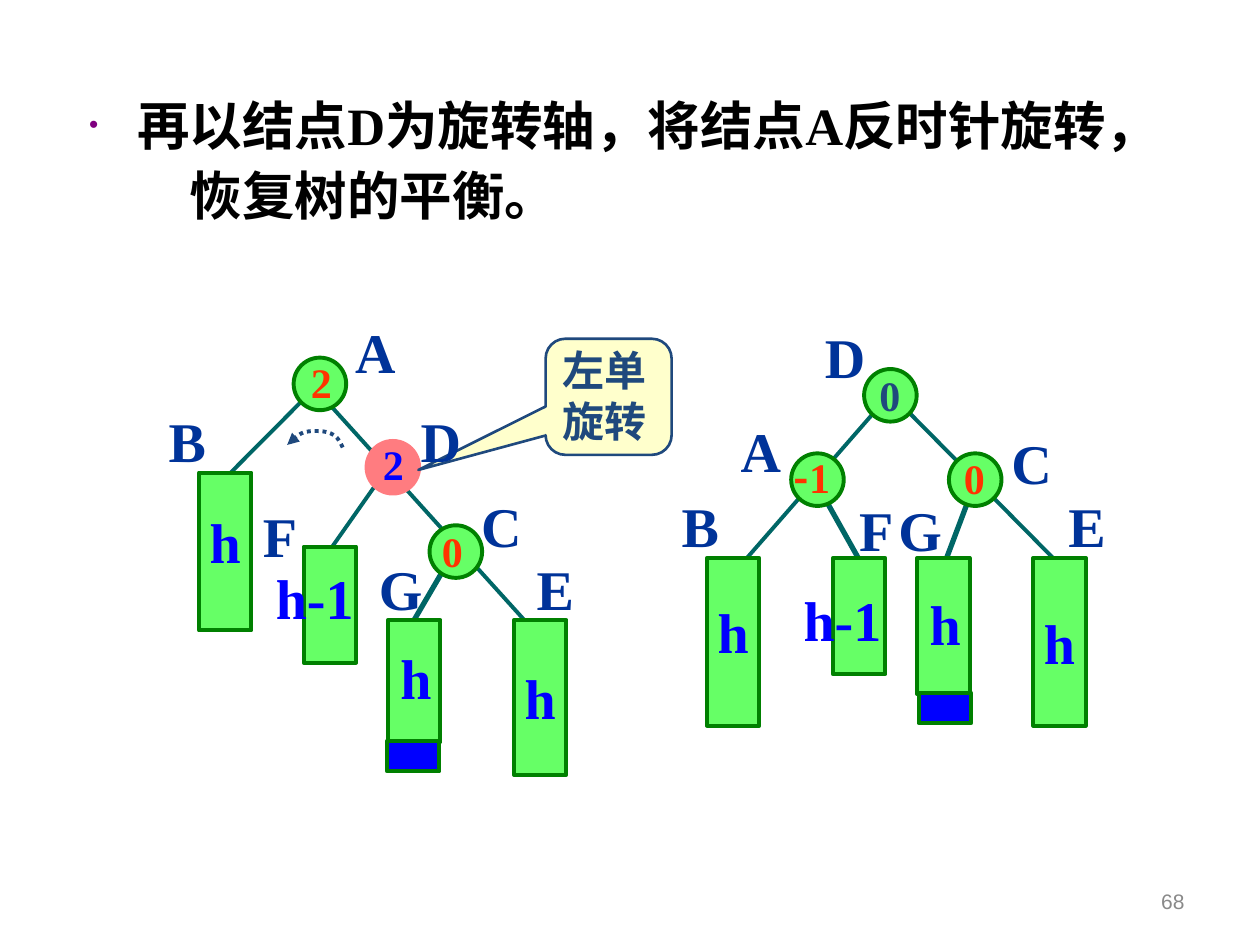
import pptx
import pptx.util
import pptx.dml.color
import pptx.enum.dml
import pptx.enum.shapes
import pptx.enum.text
import pptx.oxml
import pptx.oxml.ns

Cm, Pt = pptx.util.Cm, pptx.util.Pt
SHAPE = pptx.enum.shapes.MSO_SHAPE
ALIGN = pptx.enum.text.PP_ALIGN
ANCHOR = pptx.enum.text.MSO_ANCHOR

LATIN, CHINESE = "Times New Roman", "Noto Sans CJK SC"
GREEN, BORDER, EDGE = "66FF66", "008000", "006666"
BLUE, RED, NAVY, PINK, LETTER = "0000FF", "FF3300", "1F497D", "FF7C80", "003399"

# Content, lengths in cm
TITLE = "再以结点D为旋转轴，将结点A反时针旋转，　恢复树的平衡。"
CALLOUT = ["左单", "旋转"]
NODE, INSERTED_HEIGHT = 1.06, 0.61

BEFORE = {
    # x1, y1, x2, y2, line width
    "edges": [(9.09, 11.23, 8.23, 12.7, 3), (6.12, 8.05, 4.22, 9.96, 2.25),
              (6.55, 8.05, 10.57, 12.5, 2.25), (7.59, 9.75, 6.55, 11.23, 2.25)],
    # x, y, fill, border
    "nodes": [(7.39, 8.89, PINK, PINK), (5.92, 7.21, GREEN, BORDER),
              (8.66, 10.59, GREEN, BORDER)],
    # x, y, height, text, line spacing
    "subtrees": [(4.01, 9.53, 3.18, "h", 0.6), (6.12, 11.02, 2.34, "", 1),
                 (7.82, 12.5, 2.46, "", 1), (10.36, 12.5, 3.12, "h", 1)],
    "inserted": (7.8, 14.94),
    "letters": [("A", 6.91, 6.27), ("C", 9.45, 9.78), ("E", 10.57, 11.05),
                ("B", 3.15, 8.08), ("F", 5.05, 9.98), ("G", 7.39, 11.05),
                ("D", 8.23, 8.08)],
    "heights": [("h-1", 5.31, 11.23), ("h", 7.82, 12.85)],
    "balances": [("0", 8.66, 10.46, RED), ("2", 6.02, 7.06, RED),
                 ("2", 7.47, 8.71, BLUE)],
}
AFTER = {
    "edges": [(19.56, 9.98, 18.92, 11.68, 3), (18.29, 8.28, 21.23, 11.25, 2.25),
              (17.65, 8.28, 14.68, 11.68, 2.25), (16.59, 9.98, 17.42, 11.46, 3)],
    "nodes": [(15.95, 9.14, GREEN, BORDER), (17.42, 7.44, GREEN, BORDER),
              (19.13, 9.14, GREEN, BORDER)],
    "subtrees": [(14.25, 11.25, 3.38, "h", 0.6), (16.79, 11.25, 2.34, "", 1),
                 (18.49, 11.25, 2.74, "", 1), (20.83, 11.25, 3.38, "h", 1)],
    "inserted": (18.52, 13.97),
    "letters": [("A", 14.68, 8.28), ("C", 20.14, 8.51), ("E", 21.29, 9.78),
                ("D", 16.38, 6.38), ("B", 13.49, 9.78), ("F", 17.07, 9.86),
                ("G", 17.86, 9.86)],
    "heights": [("h-1", 15.95, 11.68), ("h", 18.49, 11.76)],
    "balances": [("0", 19.18, 8.99, RED), ("0", 17.48, 7.32, NAVY),
                 ("-1", 15.75, 8.97, RED)],
}
TEXT_WIDTH = {"A": 1.32, "B": 1.24, "C": 1.32, "D": 1.32, "E": 1.24, "F": 1.19,
              "G": 1.37, "h": 1.14, "h-1": 2.08, "0": 0.91, "2": 0.91, "-1": 1.42}

# Rotation arrow: start point, then two controls and an end for each curve
ARROW_START = (6.91, 9.02)
ARROW_CURVES = [((6.86, 8.92), (6.81, 8.81), (6.71, 8.76)),
                ((6.63, 8.71), (6.5, 8.69), (6.4, 8.69)),
                ((6.3, 8.69), (6.17, 8.69), (6.07, 8.74)),
                ((5.97, 8.79), (5.84, 8.94), (5.79, 8.97))]


def colour(value):
    return pptx.dml.color.RGBColor.from_string(value)


def add_xml(parent, tag, **values):
    child = pptx.oxml.parse_xml(f"<a:{tag} {pptx.oxml.ns.nsdecls('a')}/>")
    for name, value in values.items():
        child.set(name, value)
    parent.append(child)
    return child


def write(para, text, size, fill, name=LATIN, bold=True):
    span = para.add_run()
    span.text = text
    for key, value in {"size": Pt(size), "bold": bold, "name": name}.items():
        setattr(span.font, key, value)
    span.font.color.rgb = colour(fill)
    add_xml(span.font._element, "ea", typeface=CHINESE)


def add_text(page, x, y, width, height, wrap=False):
    box = page.shapes.add_textbox(Cm(x), Cm(y), Cm(width), Cm(height))
    box.text_frame.word_wrap = wrap
    return box.text_frame


def add_shape(page, kind, x, y, width, height, fill, border, weight=2.25):
    shape = page.shapes.add_shape(kind, Cm(x), Cm(y), Cm(width), Cm(height))
    shape.shadow.inherit = False
    shape.fill.solid()
    shape.fill.fore_color.rgb = colour(fill)
    shape.line.color.rgb = colour(border)
    shape.line.width = Pt(weight)
    return shape


def draw_tree(page, tree):
    for x1, y1, x2, y2, weight in tree["edges"]:
        edge = page.shapes.add_connector(
            pptx.enum.shapes.MSO_CONNECTOR.STRAIGHT, Cm(x1), Cm(y1), Cm(x2), Cm(y2))
        edge.line.color.rgb = colour(EDGE)
        edge.line.width = Pt(weight)
        add_xml(edge._element.spPr, "effectLst")
    for x, y, fill, border in tree["nodes"]:
        add_shape(page, SHAPE.OVAL, x, y, NODE, NODE, fill, border)
    for x, y, height, text, spacing in tree["subtrees"]:
        subtree = add_shape(page, SHAPE.RECTANGLE, x, y, NODE, height, GREEN, BORDER)
        if text:
            frame = subtree.text_frame
            frame.word_wrap = False
            frame.vertical_anchor = ANCHOR.MIDDLE
            para = frame.paragraphs[0]
            para.alignment = ALIGN.CENTER
            para.line_spacing = spacing
            write(para, text, 32, BLUE)
    add_shape(page, SHAPE.RECTANGLE, *tree["inserted"], NODE, INSERTED_HEIGHT, BLUE, BORDER)


def label_tree(page, tree):
    labels = [(*item, LETTER, 32, 1.63) for item in tree["letters"]]
    labels += [(*item, BLUE, 32, 1.63) for item in tree["heights"]]
    labels += [(*item, 24, 1.27) for item in tree["balances"]]
    for text, x, y, fill, size, height in labels:
        para = add_text(page, x, y, TEXT_WIDTH[text], height).paragraphs[0]
        if text.startswith("-"):
            write(para, "-", size, fill, CHINESE)
            text = text[1:]
        write(para, text, size, fill)


def draw_callout(page):
    callout = add_shape(page, SHAPE.ROUNDED_RECTANGULAR_CALLOUT,
                        11, 6.83, 2.54, 2.34, "FFFFCC", NAVY, 1.5)
    for index, value in enumerate((-1.51, 0.63, 0.17)):
        callout.adjustments[index] = value
    frame = add_text(page, 11.1, 6.83, 2.54, 2.29, wrap=True)
    for index, text in enumerate(CALLOUT):
        para = frame.add_paragraph() if index else frame.paragraphs[0]
        write(para, text, 24, NAVY)


def draw_rotation(page, steps=6):
    points, start = [], ARROW_START
    for first, second, end in ARROW_CURVES:
        for step in range(1, steps + 1):
            t = step / steps
            points.append(tuple(
                Cm((1 - t) ** 3 * a + 3 * (1 - t) ** 2 * t * b + 3 * (1 - t) * t * t * c + t ** 3 * d)
                for a, b, c, d in zip(start, first, second, end)))
        start = end
    builder = page.shapes.build_freeform(*(Cm(value) for value in ARROW_START))
    builder.add_line_segments(points, close=False)
    arrow = builder.convert_to_shape()
    arrow.shadow.inherit = False
    arrow.fill.background()
    arrow.line.color.rgb = colour(NAVY)
    arrow.line.width = Pt(2.25)
    arrow.line.dash_style = pptx.enum.dml.MSO_LINE.ROUND_DOT
    add_xml(arrow.line._get_or_add_ln(), "tailEnd", type="triangle")


def write_title(page):
    para = add_text(page, 1.55, 1.63, 22.86, 6.78, wrap=True).paragraphs[0]
    para.line_spacing = 1.1
    layout = para._p.get_or_add_pPr()
    layout.set("marL", str(Cm(0.97)))
    layout.set("indent", str(-Cm(0.97)))
    add_xml(add_xml(layout, "buClr"), "srgbClr", val="800080")
    add_xml(layout, "buSzPct", val="50000")
    add_xml(layout, "buFont", typeface="Arial")
    add_xml(layout, "buChar", char="•")
    write(para, TITLE, 30, "000000")


def main():
    deck = pptx.Presentation()
    deck.slide_width, deck.slide_height = Cm(25.4), Cm(19.05)
    page = deck.slides.add_slide(deck.slide_layouts[6])

    # Slide number
    frame = add_text(page, 18.21, 17.65, 5.92, 1.02, wrap=True)
    frame.vertical_anchor = ANCHOR.MIDDLE
    frame.paragraphs[0].alignment = ALIGN.RIGHT
    write(frame.paragraphs[0], "68", 12, "898989", "Arial", bold=False)

    # Trees, with the callout beneath the letters
    draw_tree(page, AFTER)
    label_tree(page, AFTER)
    draw_tree(page, BEFORE)
    draw_callout(page)
    label_tree(page, BEFORE)
    draw_rotation(page)
    write_title(page)
    deck.save("out.pptx")


if __name__ == "__main__":
    main()
